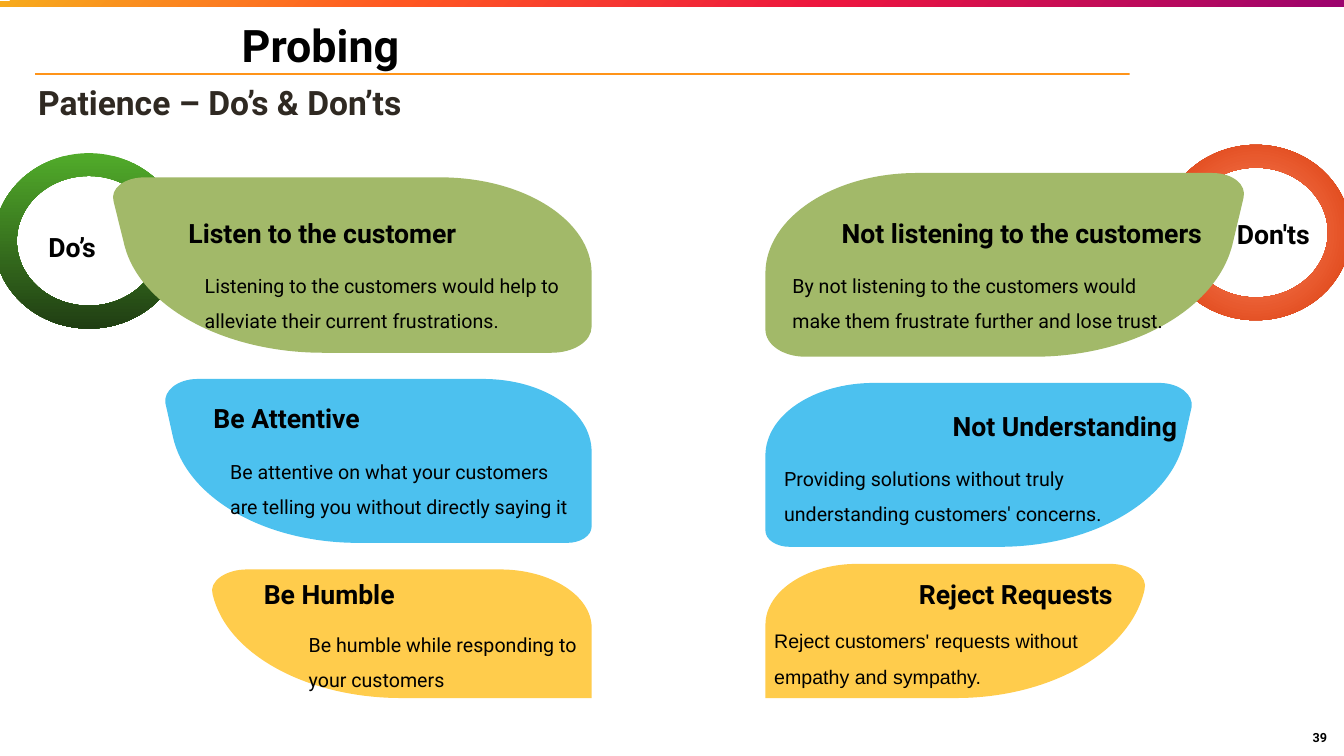
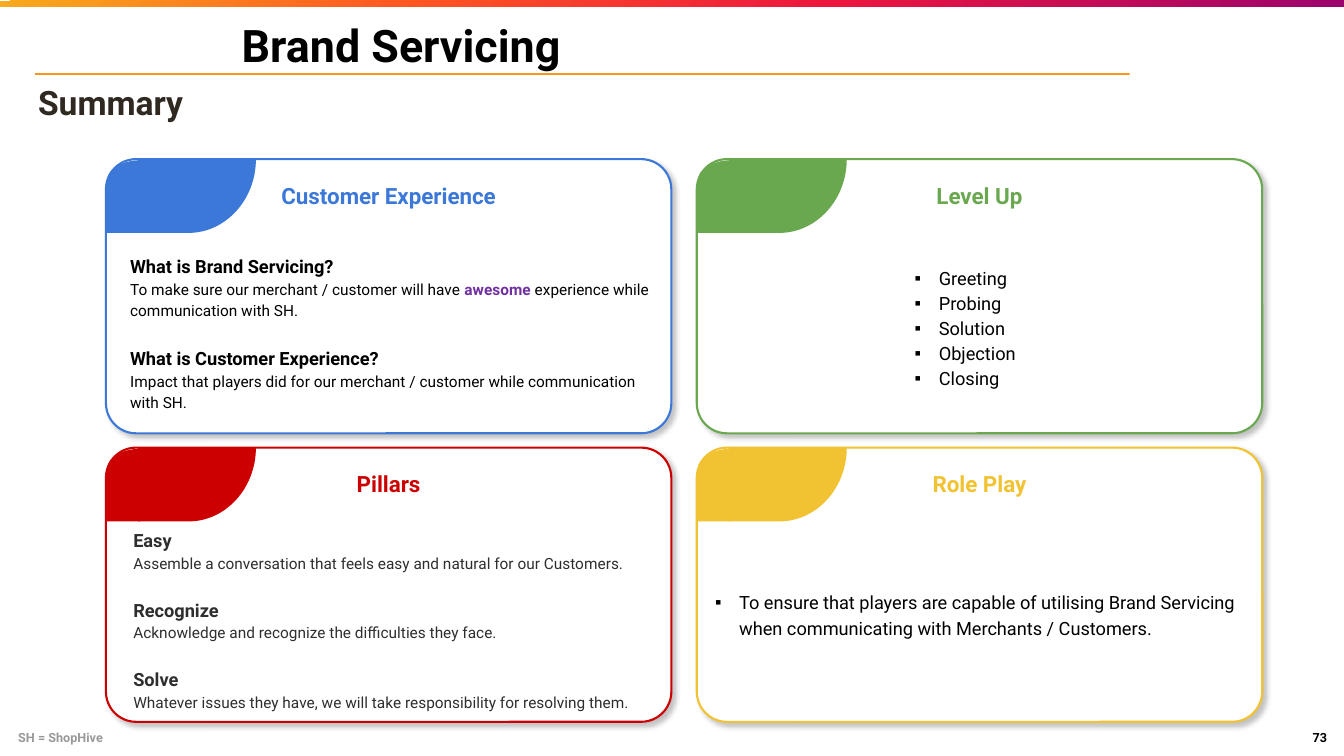
from pptx import Presentation
from pptx.dml.color import RGBColor
from pptx.enum.shapes import MSO_SHAPE as SHAPE
from pptx.enum.text import MSO_ANCHOR as ANCHOR, PP_ALIGN as ALIGN
from pptx.oxml import parse_xml
from pptx.oxml.ns import nsdecls, qn
from pptx.util import Cm, Pt

BLACK, DARK, INK, GRAY = "000000", "2F2922", "2E2E2E", "999999"
WHITE, PURPLE, ORANGE = "FFFFFF", "7030A0", "FF9419"
BAND = [(0, "F7AB1D"), (30, "FF5722"), (62, "EC153F"), (100, "9C036D")]
W, H = 33.87, 19.05

RINGS = [
    ("Don'ts", (29.26, 3.65), (30.84, 5.3), [(0, "FF8864"), (100, "D83908")], None),
    ("Do’s", (-0.15, 3.86), (0.89, 5.63), [(0, "51AB2A"), (100, "203E13")], 90),
]
PETALS = [
    [(6.7, 0), (68.4, 0), (85.9, 0, 100, 24.7, 100, 54.6), (100, 85.1),
     (100, 93.7, 96.2, 100, 91.6, 100), (44, 100), (23.4, 100, 5.9, 74.1, 2.5, 39.1),
     (0.2, 13.8), (-0.6, 6.3, 2.5, 0, 6.7, 0)],
    [(7.6, 0), (74.5, 0), (88.7, 0, 100, 19.8, 100, 44.4), (100, 90.1),
     (100, 95.7, 97.4, 100, 94.3, 100), (45.2, 100), (23.2, 100, 4.7, 72.2, 1.7, 34.6),
     (0, 14.8), (-0.5, 7.4, 2.8, 0, 7.6, 0)],
    [(9.3, 0), (75.9, 0), (89.1, 0, 100, 20.3, 100, 45.3), (100, 100),
     (49.9, 100), (25.2, 100, 4, 66, 0.3, 19.5), (-0.8, 9.4, 3.7, 0, 9.3, 0)],
]
PETAL_COLORS = ["A2B969", "4CC1EF", "FFCC4C"]
PETAL_WIDTHS = [12.07, 10.74, 9.58]
LEFT_END, RIGHT_START = 14.91, 19.29
DOS = [
    (4.47, 4.42, "Listen to the customer", (4.75, 5.3, 9.6),
     "Listening to the customers would help to alleviate their current frustrations.",
     (5.16, 6.43, 9.6), "Roboto"),
    (9.55, 4.13, "Be Attentive", (5.38, 9.96, 9.6),
     "Be attentive on what your customers are telling you without directly saying it",
     (5.8, 11.11, 8.79), "Roboto"),
    (14.35, 3.24, "Be Humble", (6.65, 14.4, 6.25),
     "Be humble while responding to your customers", (7.78, 15.47, 7.19), "Roboto"),
]
DONTS = [
    (4.36, 4.63, "Not listening to the customers", (21.21, 5.31, 9.6),
     "By not listening to the customers would make them frustrate further and lose trust.",
     (19.97, 6.43, 9.6), "Roboto"),
    (9.65, 4.13, "Not Understanding", (24.01, 10.18, 6.25),
     "Providing solutions without truly understanding customers' concerns.",
     (19.76, 11.29, 9.6), "Roboto"),
    (14.21, 3.38, "Reject Requests", (23.16, 14.4, 5.05),
     "Reject customers' requests without empathy and sympathy.",
     (19.51, 15.38, 7.87), "Arial"),
]

CARD_X, CARD_Y, CARD_W, CARD_H, CARD_DX, CARD_DY = 2.67, 4.01, 14.25, 6.91, 14.89, 7.27
TABS = [
    ((0.81, 0, 2.97, 1.86),
     [(0, 0), (100, 0), (100, 55, 74.4, 100, 42.7, 100), (0, 100)]),
    ((0.03, 0.03, 0.83, 1.83),
     [(100, 0), (100, 100), (0, 100), (0, 27.8), (0, 12.5, 45.5, 0, 100, 0)]),
]
TOPICS = [
    ("Customer Experience", "3C78D8", (2.85, 6.18, 13.92, 4.34), BLACK, 17.5, [
        ("What is Brand Servicing?",
         [("To make sure our merchant / customer will have ", {}),
          ("awesome", {"color": PURPLE, "bold": True}),
          (" experience while communication with SH.", {})]),
        ("What is Customer Experience?",
         [("Impact that players did for our merchant / customer while communication with SH.",
           {})]),
    ]),
    ("Level Up", "6AA84F", (22.59, 6.47, 8.46, 3.45), BLACK, 0,
     ["Greeting", "Probing", "Solution", "Objection", "Closing"]),
    ("Pillars", "CC0000", (2.93, 13.08, 14.25, 5), INK, 16.5, [
        ("Easy", [("Assemble a conversation that feels easy and natural for our Customers.", {})]),
        ("Recognize", [("Acknowledge and recognize the difficulties they face.", {})]),
        ("Solve",
         [("Whatever issues they have, we will take responsibility for resolving them.", {})]),
    ]),
    ("Role Play", "F1C232", (17.56, 14.65, 14.25, 1.52), BLACK, 0,
     ["To ensure that players are capable of utilising Brand Servicing when communicating "
      "with Merchants / Customers."]),
]


def rgb(color):
    return RGBColor.from_string(color)


def cms(values):
    return [Cm(v) for v in values]


def apply(obj, fmt):
    for key, value in fmt.items():
        setattr(obj, key, value)


def add_run(p, text, size, color=BLACK, bold=False, name="Roboto"):
    r = p.add_run()
    r.text = text
    apply(r.font, {"size": Pt(size), "bold": bold, "name": name})
    r.font.color.rgb = rgb(color)


def set_frame(tf, anchor, ins):
    left, top = cms(ins)
    apply(tf, {"word_wrap": True, "vertical_anchor": anchor, "margin_left": left,
               "margin_right": left, "margin_top": top, "margin_bottom": top})


def add_box(s, box, anchor=ANCHOR.TOP, ins=(0, 0.18)):
    tf = s.shapes.add_textbox(*cms(box)).text_frame
    set_frame(tf, anchor, ins)
    return tf


def add_line(s, box, text, size, color=BLACK, bold=True, name="Roboto", align=ALIGN.LEFT,
             spacing=None, **frame):
    p = add_box(s, box, **frame).paragraphs[0]
    apply(p, {"alignment": align, "line_spacing": spacing})
    add_run(p, text, size, color, bold, name)


def set_plain(sp, color=None, line=None, width=1.5):
    sp.shadow.inherit = False
    if color:
        sp.fill.solid()
        sp.fill.fore_color.rgb = rgb(color)
    else:
        sp.fill.background()
    if line:
        sp.line.color.rgb = rgb(line)
        sp.line.width = Pt(width)
    else:
        sp.line.fill.background()


def set_gradient(sp, stops, angle, **line):
    set_plain(sp, **line)
    gs = "".join(f'<a:gs pos="{pos * 1000}"><a:srgbClr val="{c}"/></a:gs>' for pos, c in stops)
    if angle is None:
        way = ('<a:path path="circle">'
               '<a:fillToRect l="50000" t="50000" r="50000" b="50000"/></a:path>')
    else:
        way = f'<a:lin ang="{angle * 60000}" scaled="0"/>'
    spPr = sp.element.spPr
    spPr.replace(spPr.find(qn("a:noFill")), parse_xml(
        f'<a:gradFill {nsdecls("a")} rotWithShape="1"><a:gsLst>{gs}</a:gsLst>{way}</a:gradFill>'))


def add_outline(s, box, outline, color, mirror=False):
    x, y, w, h = box

    def place(px, py):
        return Cm(x + w * (100 - px if mirror else px) / 100), Cm(y + h * py / 100)

    ends = [place(*seg[-2:]) for seg in outline]
    fb = s.shapes.build_freeform(*ends[0], scale=1.0)
    fb.add_line_segments(ends[1:], close=True)
    sp = fb.convert_to_shape()
    set_plain(sp, color)
    lines = list(sp.element.iter(qn("a:lnTo")))
    for line, seg in zip(lines, outline[1:]):
        if len(seg) == 6:
            pts = [place(*seg[i:i + 2]) for i in (0, 2, 4)]
            xml = "".join(f'<a:pt x="{px - sp.left}" y="{py - sp.top}"/>' for px, py in pts)
            line.getparent().replace(line, parse_xml(
                f'<a:cubicBezTo {nsdecls("a")}>{xml}</a:cubicBezTo>'))


def decorate_layout(s, layout):
    boxes = [(0.89, 1.86, 31.72, 0.02), (28.47, 0.71, 4.5, 2.67), (0, 0.02, W, 0.15)]
    rule, mask, band = [s.shapes.add_shape(SHAPE.RECTANGLE, *cms(box)) for box in boxes]
    set_gradient(rule, BAND, 45, line=ORANGE, width=0.75)
    set_plain(mask, WHITE)
    set_gradient(band, BAND, 45)
    for sp in (rule, mask, band):
        layout.shapes.element.append(sp.element)


def add_slide(prs, layout, title, subtitle, number):
    s = prs.slides.add_slide(layout)
    sp = s.shapes.title
    apply(sp, dict(zip(("left", "top", "width", "height"), cms((6.01, 0.15, 21.49, 1.96)))))
    set_frame(sp.text_frame, ANCHOR.MIDDLE, (0.08, 0.08))
    p = sp.text_frame.paragraphs[0]
    p.alignment = ALIGN.LEFT
    add_run(p, title, 32, bold=True)
    add_line(s, (0.88, 2.06, 27.38, 1.02), subtitle, 24, DARK,
             anchor=ANCHOR.MIDDLE, ins=(0.08, 0.08))
    add_line(s, (32.66, 18.15, 1.2, 0.86), number, 9, align=ALIGN.CENTER,
             anchor=ANCHOR.MIDDLE, ins=(0, 0))
    return s


def add_bullet(p):
    pPr = p._p.get_or_add_pPr()
    pPr.set("marL", str(Cm(0.74)))
    pPr.set("indent", str(-Cm(0.61)))
    for tag in (f'buClr {nsdecls("a")}><a:srgbClr val="{BLACK}"/></a:buClr',
                f'buFont {nsdecls("a")} typeface="Arial"/',
                f'buChar {nsdecls("a")} char="▪"/'):
        pPr.append(parse_xml(f"<a:{tag}>"))


def fill_topic(tf, items, color, gap):
    def next_p():
        p = tf.add_paragraph() if tf.paragraphs[0].runs else tf.paragraphs[0]
        p.line_spacing = 1.15
        return p

    for i, item in enumerate(items):
        p = next_p()
        if isinstance(item, str):
            add_bullet(p)
            add_run(p, item, 13, color)
            continue
        head, runs = item
        if i:
            p.space_before = Pt(gap)
        add_run(p, head, 13, color, True)
        p = next_p()
        for text, fmt in runs:
            add_run(p, text, 11, **{"color": color, **fmt})


def build_patience(s):
    for label, at, label_at, stops, angle in RINGS:
        ring = s.shapes.add_shape(SHAPE.DONUT, *cms((*at, 4.78, 4.42)))
        ring.adjustments[0] = 0.13
        set_gradient(ring, stops, angle)
        add_line(s, (*label_at, 3.02, 1.14), label, 19, ins=(0.33, 0.18))
    for column, mirror in ((DOS, False), (DONTS, True)):
        rows = zip(column, PETALS, PETAL_COLORS, PETAL_WIDTHS)
        for (y, h, head, head_box, body, body_box, font), outline, color, w in rows:
            x = RIGHT_START if mirror else LEFT_END - w
            add_outline(s, (x, y, w, h), outline, color, mirror)
            add_line(s, (*head_box, 1.14), head, 19, anchor=ANCHOR.BOTTOM)
            add_line(s, (*body_box, 1.83), body, 14, bold=False, name=font, spacing=1.5)


def build_summary(s):
    for i, (head, color, box, ink, gap, items) in enumerate(TOPICS):
        x, y = CARD_X + i % 2 * CARD_DX, CARD_Y + i // 2 * CARD_DY
        card = s.shapes.add_shape(SHAPE.ROUNDED_RECTANGLE, *cms((x, y, CARD_W, CARD_H)))
        card.adjustments[0] = 0.11
        set_plain(card, WHITE, color)
        card.element.spPr.find(qn("a:effectLst")).append(parse_xml(
            f'<a:outerShdw {nsdecls("a")} blurRad="{Pt(4)}" dist="{Pt(3)}" dir="2700000" '
            f'algn="tl" rotWithShape="0"><a:srgbClr val="{BLACK}"><a:alpha val="24000"/>'
            '</a:srgbClr></a:outerShdw>'))
        for (dx, dy, w, h), outline in TABS:
            add_outline(s, (x + dx, y + dy, w, h), outline, color)
        add_line(s, (x, y + 0.41, CARD_W, 1.02), head, 16, color, align=ALIGN.CENTER,
                 anchor=ANCHOR.BOTTOM)
        tf = add_box(s, box, ins=(0.33, 0.18))
        if not isinstance(items[0], str):
            tf.margin_left = Cm(0.43)
        fill_topic(tf, items, ink, gap)
    add_line(s, (0, 17.87, 14.27, 1.42), "SH = ShopHive", 9, GRAY,
             anchor=ANCHOR.MIDDLE, ins=(0.46, 0.46))


def main():
    prs = Presentation()
    prs.slide_width, prs.slide_height = Cm(W), Cm(H)
    layout = prs.slide_layouts[5]
    patience = add_slide(prs, layout, "Probing", "Patience – Do’s & Don’ts", "39")
    decorate_layout(patience, layout)
    build_patience(patience)
    build_summary(add_slide(prs, layout, "Brand Servicing", "Summary", "73"))
    prs.save("out.pptx")


if __name__ == "__main__":
    main()
